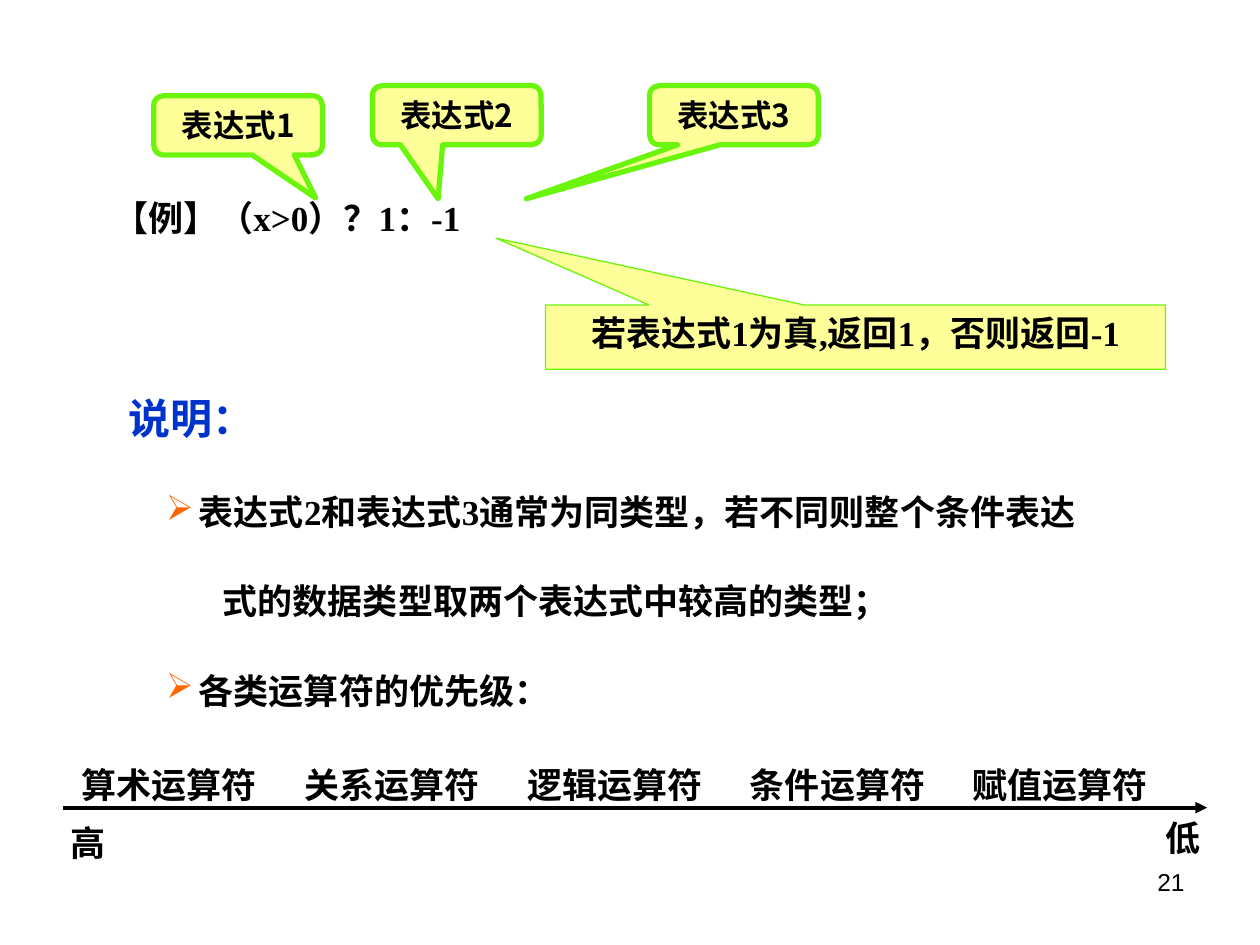
import pptx
import pptx.dml.color
import pptx.enum.shapes
import pptx.enum.text
import pptx.oxml
import pptx.oxml.ns
import pptx.util

RGBColor = pptx.dml.color.RGBColor
BLACK = RGBColor(0x00, 0x00, 0x00)
BLUE = RGBColor(0x00, 0x33, 0xCC)
YELLOW = RGBColor(0xFF, 0xFF, 0x99)
GREEN = RGBColor(0x6B, 0xF5, 0x0D)
ORANGE = RGBColor(0xFF, 0x66, 0x00)

SERIF, CJK = "Times New Roman", "Noto Sans CJK SC"
LEFT, CENTER, RIGHT = (pptx.enum.text.PP_ALIGN.LEFT, pptx.enum.text.PP_ALIGN.CENTER,
                       pptx.enum.text.PP_ALIGN.RIGHT)
TOP, MIDDLE = pptx.enum.text.MSO_ANCHOR.TOP, pptx.enum.text.MSO_ANCHOR.MIDDLE
SHAPE = pptx.enum.shapes.MSO_SHAPE

prs = pptx.Presentation()
prs.slide_width = pptx.util.Inches(10)
prs.slide_height = pptx.util.Inches(7.5)
s = prs.slides.add_slide(prs.slide_layouts[6])

# Grid of 100 columns by 75 rows
COL = prs.slide_width / 100
ROW = prs.slide_height / 75


def cell(col, row, cols, rows):
    return int(col * COL), int(row * ROW), int(cols * COL), int(rows * ROW)


def write(p, text, size=20, font=SERIF, color=BLACK, bold=True, align=LEFT,
          before=0, margin=0, hang=0, bullet=None):
    pPr = p._p.get_or_add_pPr()
    pPr.set("marL", str(int(margin * COL)))
    pPr.set("indent", str(int(-hang * COL)))
    ns = pptx.oxml.ns.nsdecls("a")
    if bullet:
        for xml in (f'<a:buClr {ns}><a:srgbClr val="{ORANGE}"/></a:buClr>',
                    f'<a:buFont {ns} typeface="Wingdings" charset="2"/>',
                    f'<a:buChar {ns} char="{bullet}"/>'):
            pPr.append(pptx.oxml.parse_xml(xml))
    p.alignment = align
    p.space_before = pptx.util.Pt(before)
    r = p.add_run()
    r.text = text
    r.font.size = pptx.util.Pt(size)
    r.font.name = font
    r.font.bold = bold
    r.font.color.rgb = color
    r._r.get_or_add_rPr().find(pptx.oxml.ns.qn("a:latin")).addnext(
        pptx.oxml.parse_xml(f'<a:ea {ns} typeface="{CJK}"/>'))


# Single-line texts; the operators stand at equal steps along the arrow
operators = ["算术运算符", "关系运算符", "逻辑运算符", "条件运算符", "赋值运算符"]
for place, text, style in [
    ((8, 15.1, 40, 5), "【例】（x>0）？1：-1", {}),
    *[((5.5 + 17.68 * i, 60.1, 17.6, 5), name, {}) for i, name in enumerate(operators)],
    ((4.6, 64.7, 5.8, 5), "高", {}),
    ((91, 64.3, 5.8, 5), "低", {"align": CENTER}),
    ((71.7, 68.3, 23.3, 5.2), "21",
     {"size": 14, "font": "Arial", "bold": False, "align": RIGHT}),
]:
    tf = s.shapes.add_textbox(*cell(*place)).text_frame
    tf.word_wrap = True
    write(tf.paragraphs[0], text, **style)

# Explanation
tf = s.shapes.add_textbox(*cell(9.2, 30.7, 81.7, 29)).text_frame
tf.word_wrap = True
write(tf.paragraphs[0], "说明：", size=24, color=BLUE)
item = {"margin": 5.6, "hang": 2.6, "bullet": "Ø"}  # Wingdings arrowhead
for text, style in [
    ("表达式2和表达式3通常为同类型，若不同则整个条件表达", item),
    ("式的数据类型取两个表达式中较高的类型；", {"margin": 7.5}),
    ("各类运算符的优先级：", item),
]:
    write(tf.add_paragraph(), text, before=27, **style)

# Callouts
ROUND, RECT = SHAPE.ROUNDED_RECTANGULAR_CALLOUT, SHAPE.RECTANGULAR_CALLOUT
label = {"size": 18, "font": CJK}
for kind, place, tip, width, anchor, text, style in [
    (RECT, (43.3, 24.2, 49.2, 5.1), (-0.58, -1.54), 0.75, TOP,
     "若表达式1为真,返回1，否则返回-1", {}),
    (ROUND, (12.2, 7.6, 13.4, 4.7), (0.46, 1.23), 3, MIDDLE, "表达式1", label),
    (ROUND, (29.55, 6.8, 13.4, 4.7), (-0.11, 1.41), 3, MIDDLE, "表达式2", label),
    (ROUND, (51.55, 6.8, 13.4, 4.7), (-1.23, 1.41), 3, MIDDLE, "表达式3", label),
]:
    sp = s.shapes.add_shape(kind, *cell(*place))
    sp.shadow.inherit = False
    sp.adjustments[0], sp.adjustments[1] = tip
    sp.fill.solid()
    sp.fill.fore_color.rgb = YELLOW
    sp.line.color.rgb = GREEN
    sp.line.width = pptx.util.Pt(width)
    tf = sp.text_frame
    tf.word_wrap = True
    tf.vertical_anchor = anchor
    write(tf.paragraphs[0], text, align=CENTER, **style)

# Priority arrow from high to low
x, y, length, _ = cell(5, 64.1, 90.8, 0)
line = s.shapes.add_connector(pptx.enum.shapes.MSO_CONNECTOR.STRAIGHT, x, y, x + length, y)
line.line.color.rgb = BLACK
line.line.width = pptx.util.Pt(2.25)
ns = pptx.oxml.ns.nsdecls("a")
line.line._get_or_add_ln().append(pptx.oxml.parse_xml(f'<a:tailEnd {ns} type="triangle"/>'))
line._element.spPr.append(pptx.oxml.parse_xml(f"<a:effectLst {ns}/>"))

prs.save("out.pptx")
